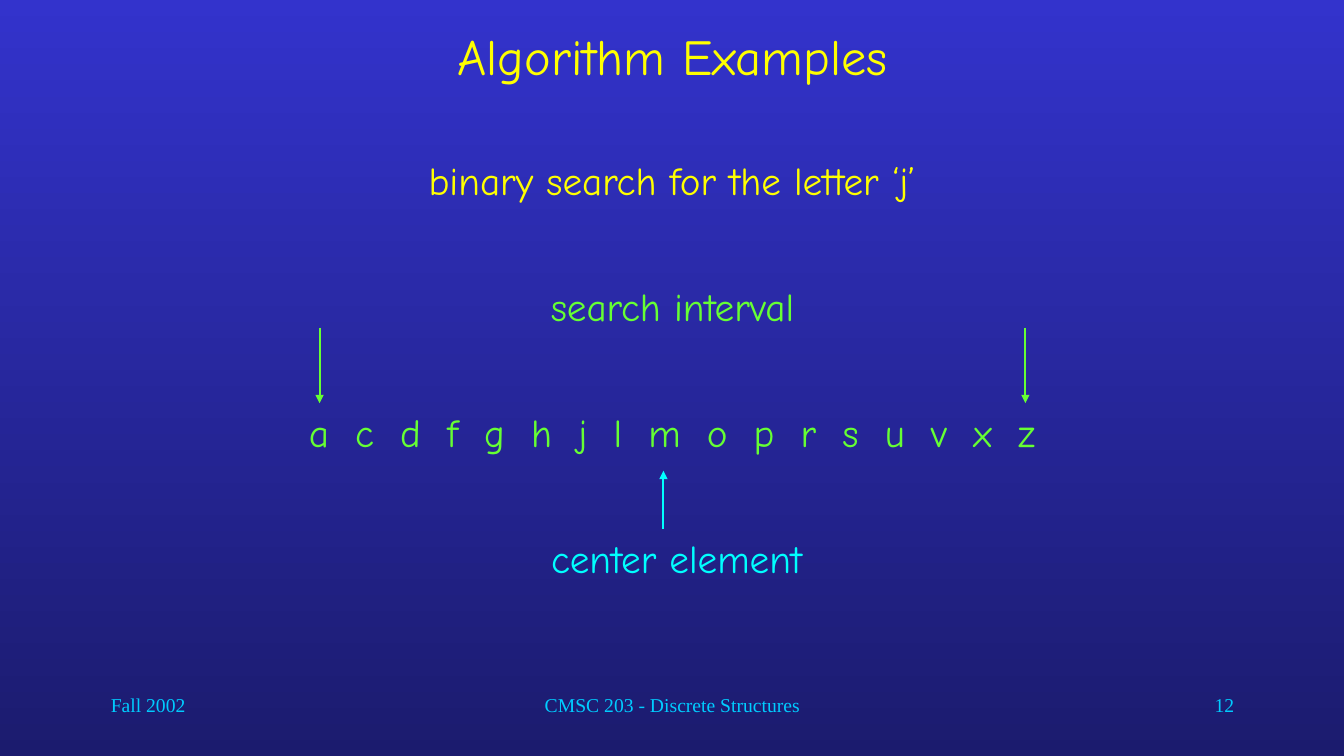
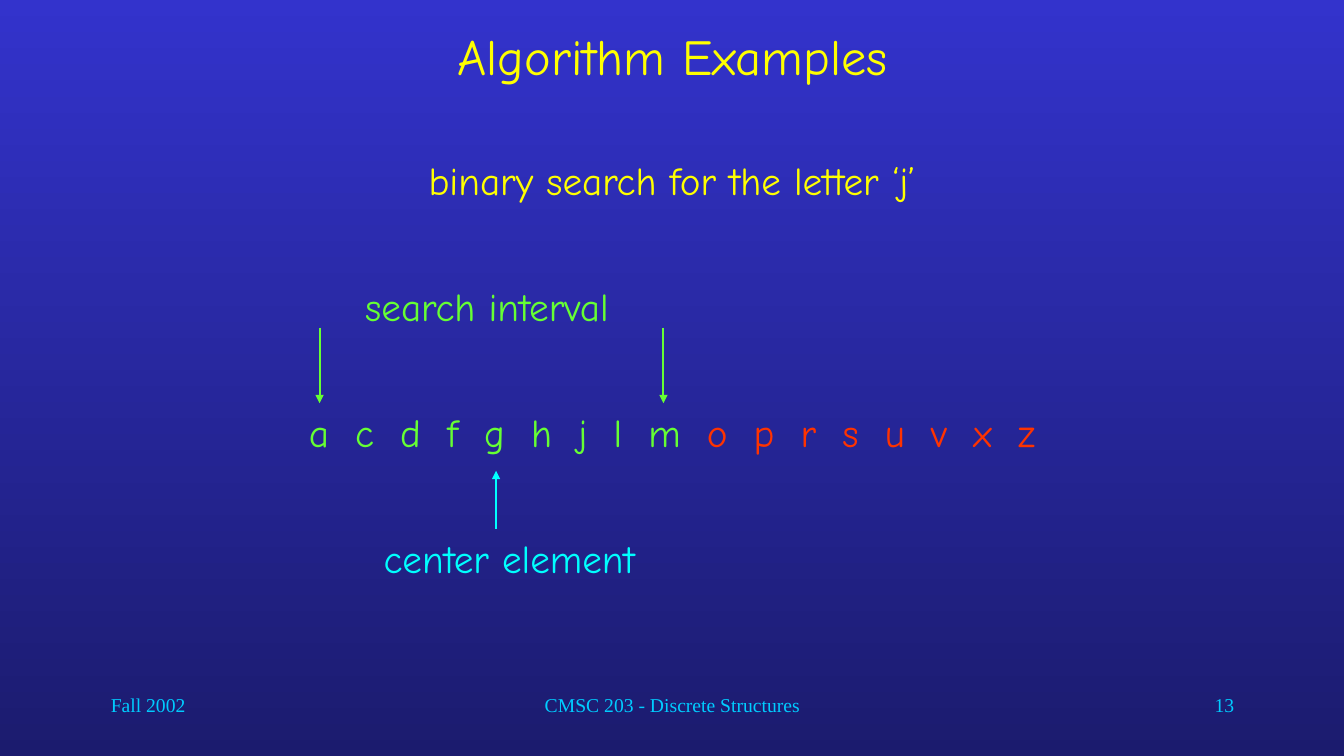
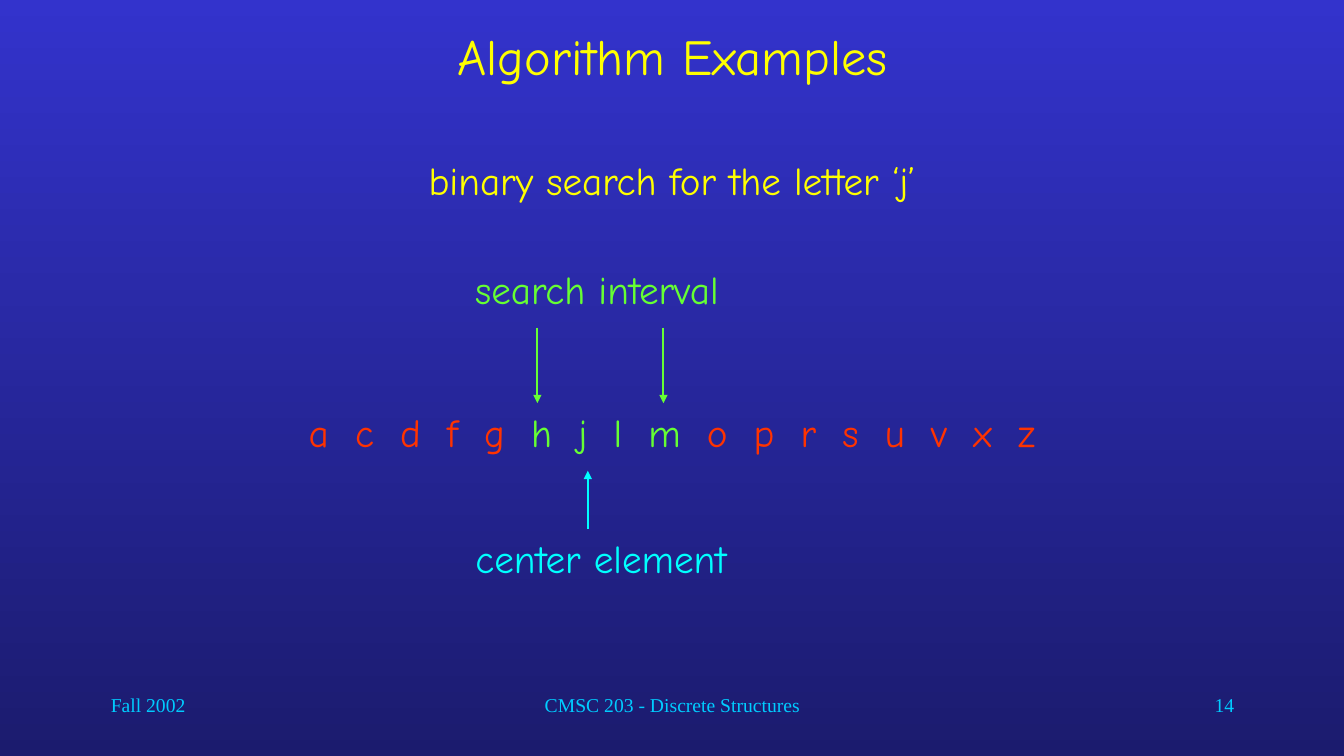
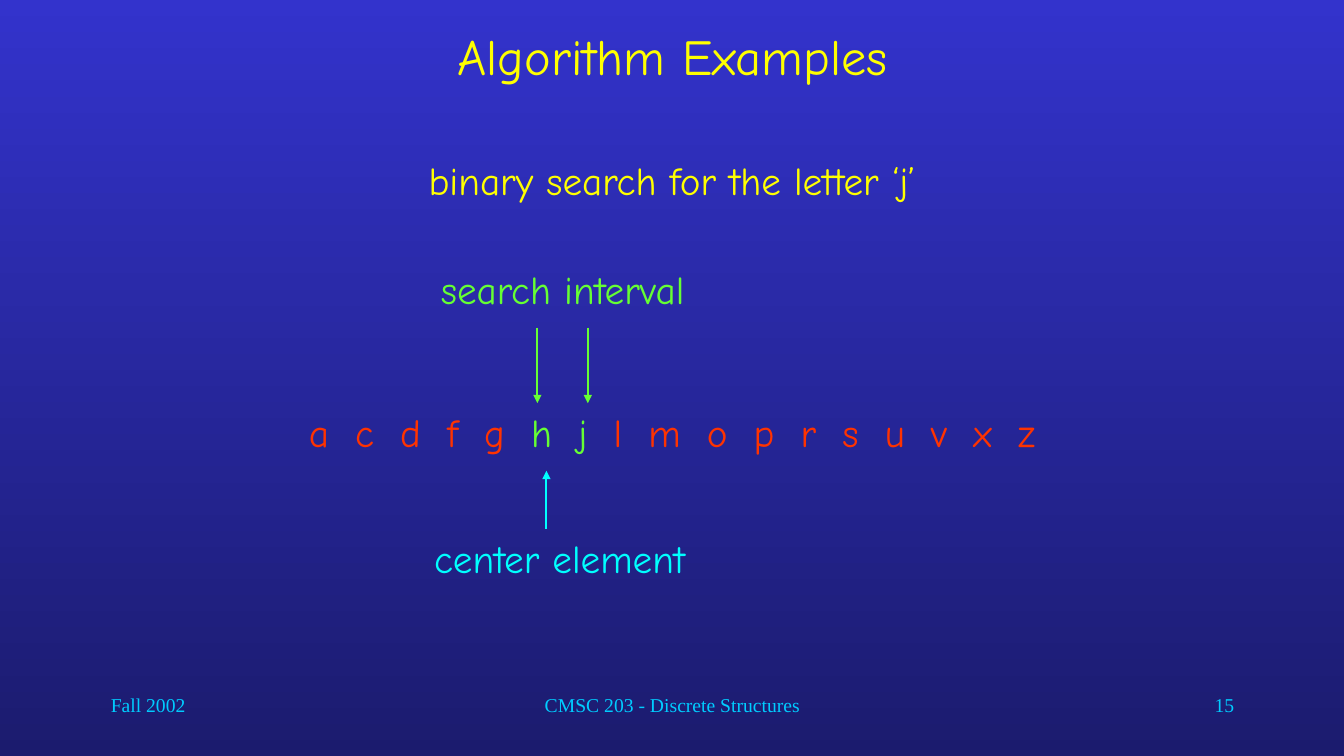
from typing import NamedTuple

from pptx import Presentation
from pptx.dml.color import RGBColor
from pptx.enum.shapes import MSO_CONNECTOR
from pptx.enum.text import MSO_ANCHOR, PP_ALIGN
from pptx.oxml.ns import qn
from pptx.util import Inches, Pt
from lxml.etree import SubElement

BLUE_TOP = RGBColor(0x33, 0x33, 0xCC)
BLUE_BOTTOM = RGBColor(0x1B, 0x1B, 0x6E)
YELLOW = RGBColor(0xFF, 0xFF, 0x00)
GREEN = RGBColor(0x66, 0xFF, 0x33)
RED = RGBColor(0xFF, 0x33, 0x00)
CYAN = RGBColor(0x00, 0xFF, 0xFF)
FOOTER_BLUE = RGBColor(0x00, 0xCC, 0xFF)

BODY_FONT = "Comic Neue"
FOOTER_FONT = "Times New Roman"

LETTERS = "acdfghjlmoprsuvxz"
GAP = "  "
FIRST_NUMBER = 12
LINE_HEIGHT = 0.57
CENTER_LABEL_OFFSET = 1.41


class Step(NamedTuple):
    """One step of the search; positions are in inches."""
    first: str
    last: str
    arrows: tuple
    label_at: tuple
    center_x: float


STEPS = [
    Step("a", "z", (3.17, 10.17), (5.17, 2.75), 6.58),
    Step("a", "m", (3.17, 6.58), (3.33, 2.75), 4.92),
    Step("h", "m", (5.33, 6.58), (4.42, 2.58), 5.83),
    Step("h", "j", (5.33, 5.83), (4.08, 2.58), 5.42),
]


def add_text(shapes, at, runs, size=28, font=BODY_FONT,
             align=PP_ALIGN.CENTER, anchor=MSO_ANCHOR.TOP):
    """Add one paragraph made of (text, colour) runs."""
    tf = shapes.add_textbox(*map(Inches, at)).text_frame
    tf.word_wrap = True
    tf.vertical_anchor = anchor
    p = tf.paragraphs[0]
    p.alignment = align
    for text, color in runs:
        r = p.add_run()
        r.text = text
        r.font.size = Pt(size)
        r.font.name = font
        r.font.color.rgb = color


def add_arrow(shapes, x, y_from, y_to, color):
    sp = shapes.add_connector(MSO_CONNECTOR.STRAIGHT, Inches(x), Inches(y_from),
                              Inches(x), Inches(y_to))
    sp.line.color.rgb = color
    sp.line.width = Pt(1.5)
    SubElement(sp.line._get_or_add_ln(), qn("a:tailEnd"), type="triangle")
    SubElement(sp._element.spPr, qn("a:effectLst"))


def add_footers(shapes, number):
    for left, width, text, align in [
        (1, 2.78, "Fall 2002", PP_ALIGN.LEFT),
        (3.78, 5.78, "CMSC 203 - Discrete Structures", PP_ALIGN.CENTER),
        (9.56, 2.78, str(number), PP_ALIGN.RIGHT),
    ]:
        add_text(shapes, (left, 6.83, width, 0.5), [(text, FOOTER_BLUE)],
                 size=14, font=FOOTER_FONT, align=align)


def letter_runs(first, last):
    """Colour the letters inside the interval green, the others red."""
    start, end = LETTERS.index(first), LETTERS.index(last) + 1
    parts = [(LETTERS[:start], RED), (LETTERS[start:end], GREEN), (LETTERS[end:], RED)]
    parts = [(part, color) for part, color in parts if part]
    final = len(parts) - 1
    return [(GAP.join(part) + (GAP if i < final else ""), color)
            for i, (part, color) in enumerate(parts)]


def add_center_marker(shapes, x):
    group = shapes.add_group_shape().shapes
    add_text(group, (x - CENTER_LABEL_OFFSET, 5.25, 3.08, LINE_HEIGHT),
             [("center element", CYAN)])
    add_arrow(group, x, 5.25, 4.67, CYAN)


def add_search_slide(prs, number, step):
    shapes = prs.slides.add_slide(prs.slide_layouts[6]).shapes
    add_footers(shapes, number)
    add_text(shapes, (2.42, 0.17, 8.5, 0.75), [("Algorithm Examples", YELLOW)],
             size=36, anchor=MSO_ANCHOR.MIDDLE)
    add_text(shapes, (2.58, 4, 8.17, LINE_HEIGHT), letter_runs(step.first, step.last))
    add_text(shapes, (2.58, 1.5, 8.17, LINE_HEIGHT),
             [("binary search for the letter ‘j’", YELLOW)])
    for x in step.arrows:
        add_arrow(shapes, x, 3.25, 4, GREEN)
    add_center_marker(shapes, step.center_x)
    add_text(shapes, (*step.label_at, 3, LINE_HEIGHT), [("search interval", GREEN)])


def set_background(master):
    fill = master.background.fill
    fill.gradient()
    fill.gradient_angle = 270
    for stop, color in zip(fill.gradient_stops, (BLUE_TOP, BLUE_BOTTOM)):
        stop.color.rgb = color


def main():
    prs = Presentation()
    prs.slide_width, prs.slide_height = Inches(13.33), Inches(7.5)
    set_background(prs.slide_master)
    for number, step in enumerate(STEPS, FIRST_NUMBER):
        add_search_slide(prs, number, step)
    prs.save("out.pptx")


if __name__ == "__main__":
    main()
